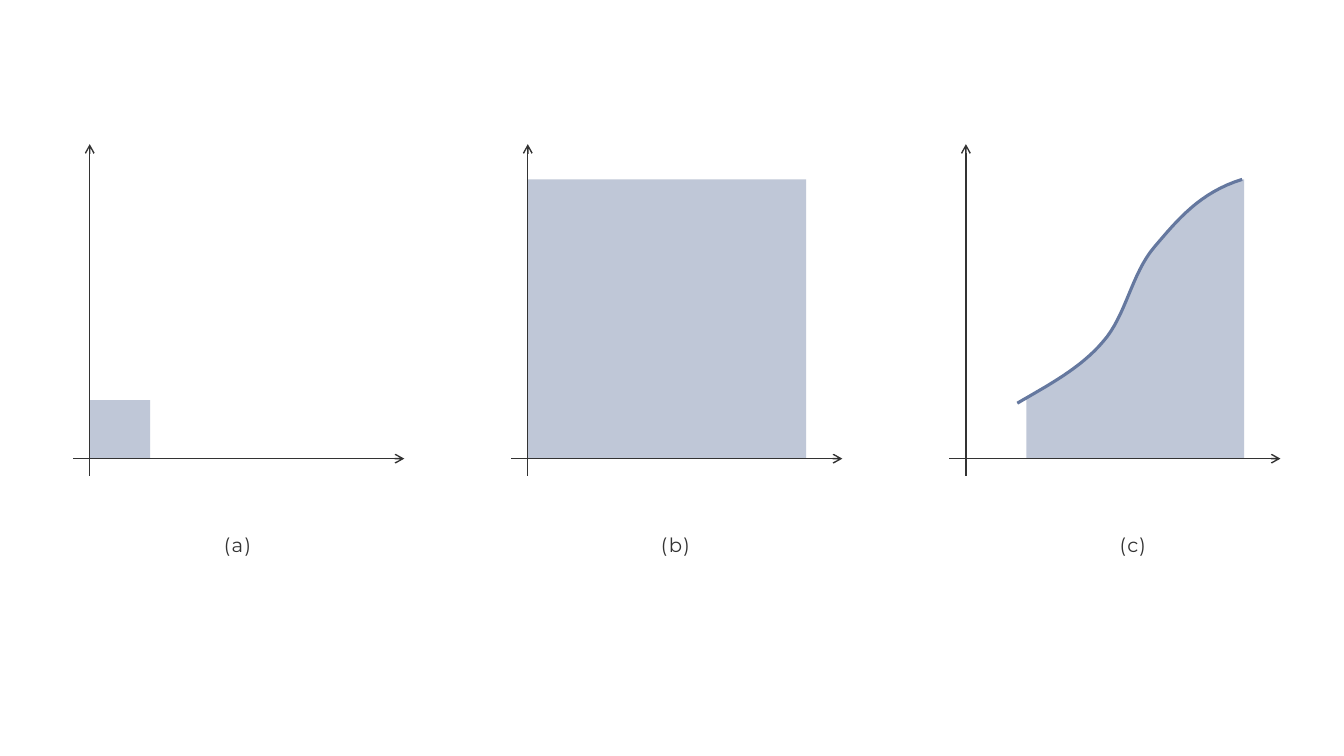
from lxml import etree
from pptx import Presentation
from pptx.dml.color import RGBColor
from pptx.enum.shapes import MSO_CONNECTOR, MSO_SHAPE
from pptx.enum.text import MSO_AUTO_SIZE, PP_ALIGN
from pptx.oxml.ns import qn
from pptx.util import Inches, Pt

STRAIGHT = MSO_CONNECTOR.STRAIGHT
RECTANGLE = MSO_SHAPE.RECTANGLE
FIT_SHAPE = MSO_AUTO_SIZE.SHAPE_TO_FIT_TEXT
CENTER = PP_ALIGN.CENTER

WHITE = RGBColor(0xFF, 0xFF, 0xFF)
INK = RGBColor(0x33, 0x33, 0x33)
AREA = RGBColor(0xBF, 0xC7, 0xD7)
CURVE = RGBColor(0x65, 0x78, 0x9F)
FONT = "Montserrat"

# Chart measures in inches, relative to the axis origin, y upwards
FIRST_ORIGIN, BASELINE, PITCH = 0.89, 4.55, 4.345
AXIS_LENGTH, OVERHANG = 3.12, 0.17
SIDE = 2.77
CURVE_START = (0.51, 0.55)
CURVE_BENDS = [
    ((0.82, 0.73), (1.14, 0.90), (1.36, 1.16)),
    ((1.59, 1.42), (1.64, 1.83), (1.87, 2.10)),
    ((2.10, 2.37), (2.32, 2.64), (2.74, SIDE)),
]
STEPS = 16


def curve_points():
    """Sample the chain of cubic Bézier bends."""
    points = [CURVE_START]
    for bend in CURVE_BENDS:
        corners = (points[-1], *bend)
        for step in range(1, STEPS + 1):
            t = step / STEPS
            weights = ((1 - t) ** 3, 3 * t * (1 - t) ** 2, 3 * t * t * (1 - t), t ** 3)
            points.append(tuple(
                sum(weight * corner[axis] for weight, corner in zip(weights, corners))
                for axis in (0, 1)))
    return points


def add_block(page, left, width, height, color):
    """Rectangle standing on the horizontal axis."""
    block = page.shapes.add_shape(
        RECTANGLE, Inches(left), Inches(BASELINE - height), Inches(width), Inches(height))
    block.shadow.inherit = False
    block.fill.solid()
    block.fill.fore_color.rgb = color
    block.line.fill.background()


def add_outline(page, origin, points, close):
    spots = [(Inches(origin + x), Inches(BASELINE - y)) for x, y in points]
    builder = page.shapes.build_freeform(*spots[0])
    builder.add_line_segments(spots[1:], close=close)
    outline = builder.convert_to_shape()
    outline.shadow.inherit = False
    return outline


def add_axes(page, origin):
    ends = [
        (origin, BASELINE - AXIS_LENGTH, origin, BASELINE + OVERHANG),
        (origin + AXIS_LENGTH, BASELINE, origin - OVERHANG, BASELINE),
    ]
    for end in ends:
        axis = page.shapes.add_connector(STRAIGHT, *(Inches(value) for value in end))
        axis.line.color.rgb = INK
        axis.line.width = Pt(1)
        etree.SubElement(axis.line._get_or_add_ln(), qn("a:headEnd"), type="arrow")
        etree.SubElement(axis._element.spPr, qn("a:effectLst"))


def add_label(page, left, text):
    box = page.shapes.add_textbox(Inches(left), Inches(5.24), Inches(1.33), Inches(0.34))
    frame = box.text_frame
    frame.word_wrap = True
    frame.auto_size = FIT_SHAPE
    para = frame.paragraphs[0]
    para.alignment = CENTER
    para.font.name = FONT
    para.font.size = Pt(14)
    para.font.color.rgb = INK
    span = para.add_run()
    span.text = text
    span._r.get_or_add_rPr().set("spc", "100")


def add_block_chart(page, origin, width, height, label):
    add_block(page, origin, width, height, AREA)
    add_axes(page, origin)
    add_label(page, origin + 0.8, label)


def add_curve_chart(page, origin, label):
    points = curve_points()
    # Area under the curve, trimmed on the left by a white block
    corners = [(2.76, SIDE), (2.76, 0), (CURVE_START[0], 0)]
    area = add_outline(page, origin, points + corners, close=True)
    area.fill.solid()
    area.fill.fore_color.rgb = AREA
    area.line.fill.background()
    add_block(page, origin + 0.35, 0.25, 0.58, WHITE)

    add_axes(page, origin)
    curve = add_outline(page, origin, points, close=False)
    curve.fill.background()
    curve.line.color.rgb = CURVE
    curve.line.width = Pt(2.25)
    add_label(page, origin + 0.99, label)


def main():
    deck = Presentation()
    deck.slide_width, deck.slide_height = Inches(13.33), Inches(7.5)
    page = deck.slides.add_slide(deck.slide_layouts[6])
    origins = [FIRST_ORIGIN + PITCH * number for number in range(3)]
    add_block_chart(page, origins[0], 0.6, 0.58, "(a)")
    add_block_chart(page, origins[1], 2.76, SIDE, "(b)")
    add_curve_chart(page, origins[2], "(c)")
    deck.save("out.pptx")


if __name__ == "__main__":
    main()
